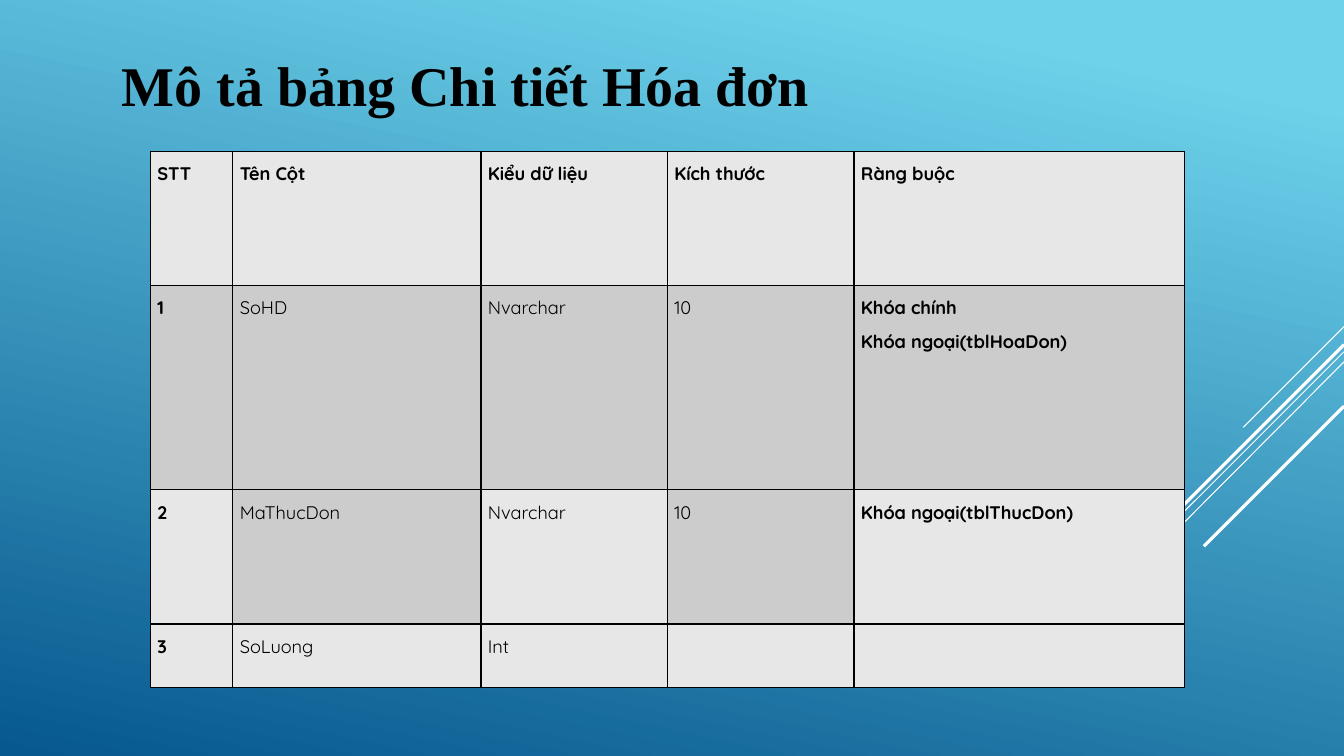
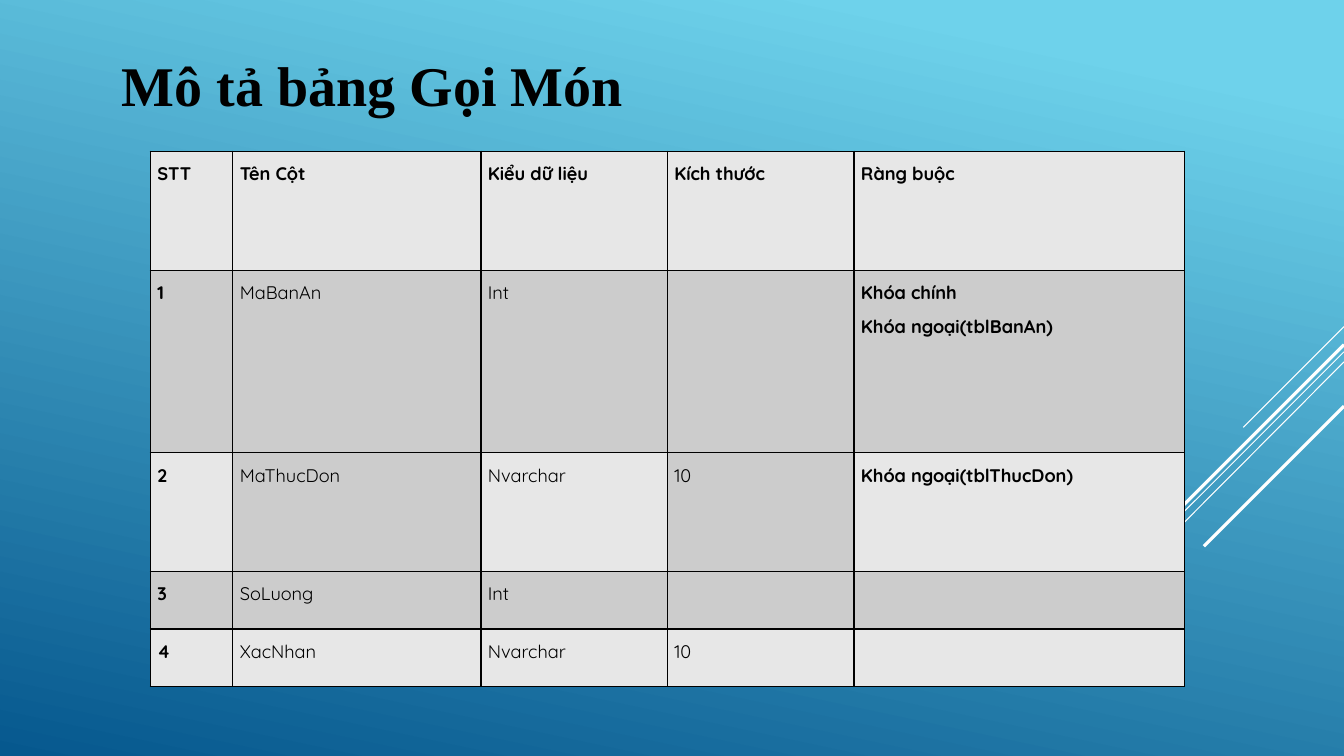
"""Build two slides that describe database tables."""
from lxml.etree import SubElement
from pptx import Presentation
from pptx.dml.color import RGBColor
from pptx.enum.shapes import MSO_CONNECTOR
from pptx.enum.text import MSO_ANCHOR, MSO_AUTO_SIZE, PP_ALIGN
from pptx.oxml import parse_xml
from pptx.oxml.ns import nsdecls, qn
from pptx.util import Inches, Pt


def color(hex_value):
    return RGBColor.from_string(hex_value)


def apply(target, values):
    for name, value in values.items():
        setattr(target, name, value)


BLACK, WHITE = "000000", "FFFFFF"
SHADES = {"L": "E7E7E7", "D": "CCCCCC"}
BACKDROP = [(0.1, "6ED2EB"), (1, "06588E")]
STRIPES = [
    (3.24, 12.33, 4.24, 0.75),
    (3.49, 10.07, 6.75, 0.75),
    (3.59, 11.26, 5.67, 0.75),
    (3.42, 11.42, 5.33, 2.25),
    (4.03, 11.94, 5.42, 2.25),
]
TITLE_FONT = {"name": "Times New Roman", "size": Pt(40), "bold": True}
TITLE_FRAME = {
    "word_wrap": False,
    "auto_size": MSO_AUTO_SIZE.SHAPE_TO_FIT_TEXT,
    "vertical_anchor": MSO_ANCHOR.TOP,
}
CELL_FONT = {"name": "Quicksand", "size": Pt(13)}
CELL_PARAGRAPH = {"alignment": PP_ALIGN.JUSTIFY, "line_spacing": 1.5}
CELL_MARGINS = {
    "margin_left": Inches(0.07),
    "margin_right": Inches(0.07),
    "margin_top": 0,
    "margin_bottom": 0,
}
COLUMN_WIDTHS = [0.82, 2.46, 1.85, 1.85, 3.28]
BOLD_COLUMNS = (0, 4)
HEADINGS = ["STT", "Tên Cột", "Kiểu dữ liệu", "Kích thước", "Ràng buộc"]
DESCRIPTIONS = [
    {
        "title": "Mô tả bảng Chi tiết Hóa đơn",
        "title_width": 7.09,
        "rows": [
            (1.33, "LLLLL", HEADINGS),
            (2.03, "DDDDD", ["1", "SoHD", "Nvarchar", "10", "Khóa chính\nKhóa ngoại(tblHoaDon)"]),
            (1.33, "LDLDL", ["2", "MaThucDon", "Nvarchar", "10", "Khóa ngoại(tblThucDon)"]),
            (0.63, "LLLLL", ["3", "SoLuong", "Int", "", ""]),
        ],
    },
    {
        "title": "Mô tả bảng Gọi Món",
        "title_width": 5.22,
        "rows": [
            (1.18, "LLLLL", HEADINGS),
            (1.81, "DDDDD", ["1", "MaBanAn", "Int", "", "Khóa chính\nKhóa ngoại(tblBanAn)"]),
            (1.18, "LDLDL", ["2", "MaThucDon", "Nvarchar", "10", "Khóa ngoại(tblThucDon)"]),
            (0.57, "DDDDD", ["3", "SoLuong", "Int", "", ""]),
            (0.57, "LLLLL", ["4", "XacNhan", "Nvarchar", "10", ""]),
        ],
    },
]

deck = Presentation()
apply(deck, {"slide_width": Inches(13.33), "slide_height": Inches(7.5)})

backdrop = deck.slide_master.background.fill
backdrop.gradient()
backdrop.gradient_angle = 360 - 102
for stop, (position, shade) in zip(backdrop.gradient_stops, BACKDROP):
    stop.position = position
    stop.color.rgb = color(shade)

layout = deck.slide_layouts[5]
for footer in list(layout.placeholders)[1:]:
    layout.shapes._spTree.remove(footer._element)
slides = [deck.slides.add_slide(layout) for _ in DESCRIPTIONS]

stripes = []
for start_y, end_x, end_y, weight in STRIPES:
    stripe = slides[0].shapes.add_connector(
        MSO_CONNECTOR.STRAIGHT, Inches(13.33), Inches(start_y), Inches(end_x), Inches(end_y)
    )
    stripe.line.color.rgb = color(WHITE)
    stripe.line.width = Pt(weight)
    SubElement(stripe._element.spPr, qn("a:effectLst"))
    stripes.append(stripe)
for stripe in stripes:
    layout.shapes._spTree.append(stripe._element)

for slide, description in zip(slides, DESCRIPTIONS):
    title = slide.shapes.title
    apply(title, {
        "left": Inches(1.11),
        "top": Inches(0.45),
        "width": Inches(description["title_width"]),
        "height": Inches(0.77),
    })
    title.text = description["title"]
    apply(title.text_frame, TITLE_FRAME)
    heading = title.text_frame.paragraphs[0]
    heading.alignment = PP_ALIGN.LEFT
    apply(heading.font, TITLE_FONT)
    heading.font.color.rgb = color(BLACK)

    rows = description["rows"]
    fields = slide.shapes.add_table(
        len(rows), len(COLUMN_WIDTHS), Inches(1.49), Inches(1.5), Inches(10.26), Inches(5.33)
    ).table
    apply(fields, {"first_row": False, "horz_banding": False})
    for column, width in zip(fields.columns, COLUMN_WIDTHS):
        column.width = Inches(width)

    for row_index, (height, shades, texts) in enumerate(rows):
        fields.rows[row_index].height = Inches(height)
        is_last = row_index == len(rows) - 1
        for column_index, (shade, text) in enumerate(zip(shades, texts)):
            cell = fields.cell(row_index, column_index)
            cell.text = text
            apply(cell, CELL_MARGINS)
            cell.fill.solid()
            cell.fill.fore_color.rgb = color(SHADES[shade])
            for paragraph in cell.text_frame.paragraphs:
                apply(paragraph, CELL_PARAGRAPH)
                apply(paragraph.font, CELL_FONT)
                paragraph.font.bold = row_index == 0 or column_index in BOLD_COLUMNS
                paragraph.font.color.rgb = color(BLACK)
            for order, side in enumerate("LRTB"):
                weight = Pt(2 if is_last and side == "T" else 1)
                border = parse_xml(
                    f'<a:ln{side} {nsdecls("a")} w="{weight}"><a:solidFill>'
                    f'<a:srgbClr val="{BLACK}"/></a:solidFill></a:ln{side}>'
                )
                cell._tc.get_or_add_tcPr().insert(order, border)

deck.save("out.pptx")
